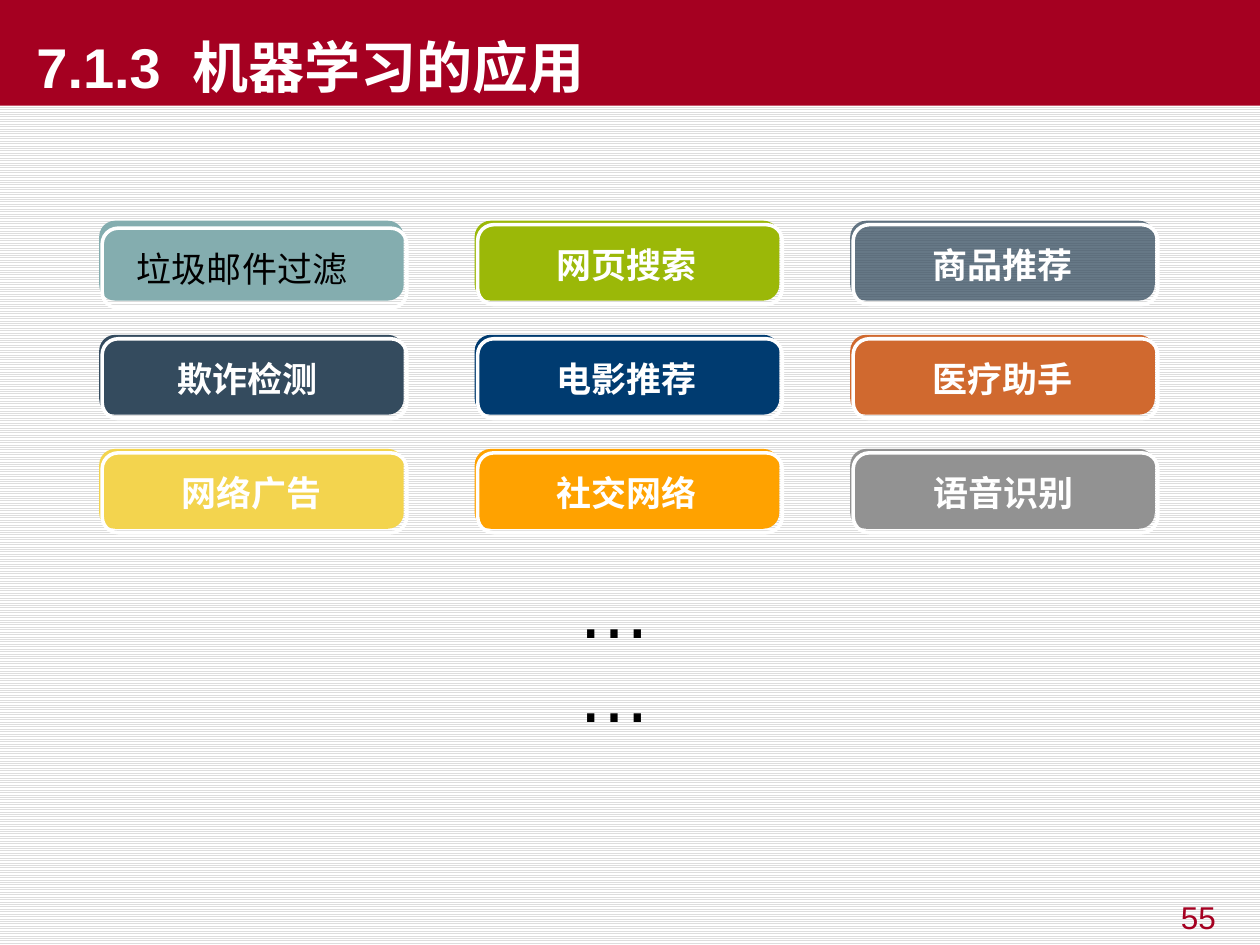
from lxml.etree import SubElement
from pptx import Presentation
from pptx.dml.color import RGBColor
from pptx.enum.dml import MSO_PATTERN
from pptx.enum.shapes import MSO_SHAPE
from pptx.enum.text import MSO_ANCHOR, MSO_AUTO_SIZE, PP_ALIGN
from pptx.oxml.ns import qn
from pptx.util import Cm, Pt

CARD_LEFT, CARD_TOP = 2, 4.45
CARD_WIDTH, CARD_HEIGHT = 6.14, 1.61
COLUMN_STEP, ROW_STEP = 7.57, 2.3
WHITE, BLACK, CRIMSON = "FFFFFF", "000000", "A50021"

# fields: label, fill, label offset from the card, label width
CARDS = [
    ("垃圾邮件过滤", "84ADAF", 0.76, 4.57),
    ("网页搜索", "9BB808", 0.71, 4.72),
    ("商品推荐", "344B5E", 1.09, 3.96),
    ("欺诈检测", "344B5E", 0.66, 4.67),
    ("电影推荐", "003B70", 0.71, 4.72),
    ("医疗助手", "D0692F", 0.56, 5.03),
    ("网络广告", "F3D44E", 1.07, 3.99),
    ("社交网络", "FFA200", 1.4, 3.33),
    ("语音识别", "929292", 1.17, 3.84),
]


def color(value):
    """Turn a hex string into a colour."""
    return RGBColor.from_string(value)


def add_run(paragraph, text, font, size, ink, bold=False):
    """Add one formatted run, with the font for Latin and Chinese text."""
    run = paragraph.add_run()
    run.text = text
    run.font.name, run.font.size, run.font.bold = font, Pt(size), bold
    run.font.color.rgb = color(ink)
    SubElement(run.font._element, qn("a:ea")).set("typeface", font)
    return run


def set_background(slide):
    """Give the slide its fine horizontal lines."""
    fill = slide.background.fill
    fill.patterned()
    fill.pattern = MSO_PATTERN.LIGHT_HORIZONTAL
    fill.fore_color.rgb = color("DDDDDD")
    fill.back_color.rgb = color(WHITE)


def set_title(slide, number, text):
    """Format the title placeholder as a banner."""
    title = slide.shapes.title
    title.left, title.top, title.width, title.height = Cm(0), Cm(0), Cm(25.4), Cm(2.13)
    title.fill.solid()
    title.fill.fore_color.rgb = color(CRIMSON)
    frame = title.text_frame
    frame.auto_size = MSO_AUTO_SIZE.NONE
    frame.vertical_anchor = MSO_ANCHOR.BOTTOM
    paragraph = frame.paragraphs[0]
    paragraph.alignment = PP_ALIGN.LEFT
    paragraph._p.get_or_add_pPr().set("indent", str(Cm(0.48)))
    add_run(paragraph, number, "Arial", 32, WHITE, True)
    gap = add_run(paragraph, " ", "Arial", 32, WHITE, True)
    gap.font._element.set("spc", "900")
    add_run(paragraph, text, "Arial", 32, WHITE, True)


def add_text(slide, box, text, font, size, ink, bold=False,
             alignment=PP_ALIGN.LEFT, tight=False):
    """Add a wrapped text box, without insets when tight."""
    frame = slide.shapes.add_textbox(*map(Cm, box)).text_frame
    frame.word_wrap = True
    frame.auto_size = MSO_AUTO_SIZE.SHAPE_TO_FIT_TEXT
    if tight:
        frame.margin_left = frame.margin_right = frame.margin_bottom = 0
        frame.margin_top = Cm(0.03)
    paragraph = frame.paragraphs[0]
    paragraph.alignment = alignment
    add_run(paragraph, text, font, size, ink, bold)


def add_rounded(slide, left, top):
    """Add a rounded rectangle of card size."""
    shape = slide.shapes.add_shape(MSO_SHAPE.ROUNDED_RECTANGLE, Cm(left), Cm(top),
                                   Cm(CARD_WIDTH), Cm(CARD_HEIGHT))
    shape.adjustments[0] = 0.2
    shape.shadow.inherit = False
    return shape


def add_card(slide, index, label, fill, label_offset, label_width):
    """Add a filled card, its shifted outline and its label."""
    row, column = divmod(index, 3)
    left = CARD_LEFT + column * COLUMN_STEP
    top = CARD_TOP + row * ROW_STEP
    first = index == 0
    drop = 0.15 if first else 0.08

    face = add_rounded(slide, left, top)
    face.fill.solid()
    face.fill.fore_color.rgb = color(fill)
    face.line.fill.background()
    if label == "商品推荐":
        tint = face.fill._xPr.find(".//" + qn("a:srgbClr"))
        SubElement(tint, qn("a:alpha")).set("val", "75000")

    outline = add_rounded(slide, left + 0.06, top + drop)
    outline.fill.background()
    outline.line.color.rgb = color(WHITE)
    outline.line.width = Pt(2.04)

    add_text(slide, (left + label_offset, top + drop + 0.35, label_width, 0.89),
             label, "Lato", 20, BLACK if first else WHITE, not first,
             PP_ALIGN.LEFT if first else PP_ALIGN.CENTER, tight=True)


def main():
    """Build the slide and save it."""
    presentation = Presentation()
    presentation.slide_width, presentation.slide_height = Cm(25.4), Cm(19.05)
    slide = presentation.slides.add_slide(presentation.slide_layouts[5])
    set_background(slide)
    set_title(slide, "7.1.3", "机器学习的应用")
    add_text(slide, (19.25, 17.98, 5.51, 0.99), "55", "Arial", 18, CRIMSON,
             alignment=PP_ALIGN.RIGHT)
    for index, card in enumerate(CARDS):
        add_card(slide, index, *card)
    add_text(slide, (11.43, 11.33, 2.54, 1.96), "……", "DejaVu Sans", 40, BLACK)
    presentation.save("out.pptx")


if __name__ == "__main__":
    main()
